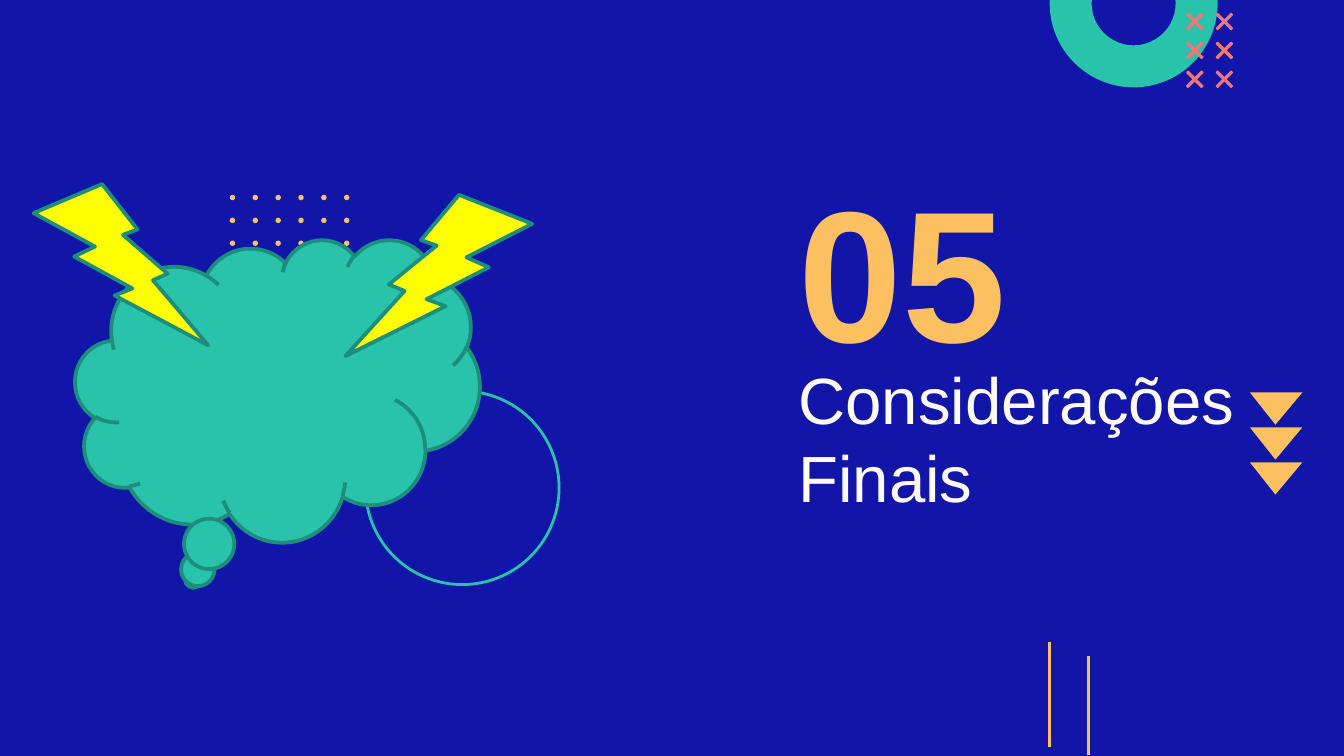
import itertools
from dataclasses import dataclass

import pptx
import pptx.dml.color
import pptx.enum.shapes
import pptx.enum.text
import pptx.oxml
import pptx.util

Inches = pptx.util.Inches
Pt = pptx.util.Pt
SHAPE = pptx.enum.shapes.MSO_SHAPE


@dataclass(frozen=True)
class Theme:
    blue: str = "1116A8"
    teal: str = "29C2AA"
    dark_teal: str = "1D8D7C"
    coral: str = "F57676"
    amber: str = "FDC061"
    yellow: str = "FFFF00"
    cream: str = "FFFAF2"
    font: str = "Arial"
    title_size: int = 35
    number_size: int = 100


THEME = Theme()


def rgb(color):
    return pptx.dml.color.RGBColor.from_string(color)


def paint(sp, fill=None, line=None, width=0):
    """Set fill and outline; None means no fill or no line."""
    sp.shadow.inherit = False
    if fill:
        sp.fill.solid()
        sp.fill.fore_color.rgb = rgb(fill)
    else:
        sp.fill.background()
    if line:
        sp.line.color.rgb = rgb(line)
        sp.line.width = Pt(width)
    else:
        sp.line.fill.background()


def add_preset(s, kind, box, adjustments=(), **style):
    sp = s.shapes.add_shape(kind, *(Inches(v) for v in box))
    for i, value in enumerate(adjustments):
        sp.adjustments[i] = value
    paint(sp, **style)
    return sp


def add_polygon(s, points, **style):
    points = [(Inches(x), Inches(y)) for x, y in points]
    fb = s.shapes.build_freeform(*points[0])
    fb.add_line_segments(points[1:], close=True)
    paint(fb.convert_to_shape(), **style)


def add_cross(s, x, y):
    """Thin diagonal cross centred on x, y."""
    tip, edge, waist = 0.06, 0.05, 0.01
    right = [(edge, tip), (tip, edge), (waist, 0),
             (tip, -edge), (edge, -tip), (0, -waist)]
    outline = right + [(-dx, -dy) for dx, dy in right]
    add_polygon(s, [(x + dx, y + dy) for dx, dy in outline],
                fill=THEME.coral, line=THEME.coral, width=0.75)


def add_rule(s, x, top, bottom):
    cn = s.shapes.add_connector(pptx.enum.shapes.MSO_CONNECTOR.STRAIGHT,
                                Inches(x), Inches(top), Inches(x), Inches(bottom))
    cn.line.color.rgb = rgb(THEME.amber)
    cn.line.width = Pt(1.5)
    cn._element.spPr.append(pptx.oxml.parse_xml(
        '<a:effectLst xmlns:a="http://schemas.openxmlformats.org/drawingml/2006/main"/>'))


def fill_placeholder(sp, box, text, size, color, bold=False):
    sp.left, sp.top, sp.width, sp.height = (Inches(v) for v in box)
    tf = sp.text_frame
    tf.word_wrap = True
    tf.auto_size = pptx.enum.text.MSO_AUTO_SIZE.NONE
    tf.vertical_anchor = pptx.enum.text.MSO_ANCHOR.MIDDLE
    tf.margin_left = tf.margin_right = Inches(0.1)
    tf.margin_top = tf.margin_bottom = Inches(0.1)
    p = tf.paragraphs[0]
    p.alignment = pptx.enum.text.PP_ALIGN.LEFT
    p.line_spacing = 1.0
    p.space_before = Pt(0)
    r = p.add_run()
    r.text = text
    r.font.name = THEME.font
    r.font.size = Pt(size)
    r.font.bold = bold
    r.font.color.rgb = rgb(color)


def add_decorations(s):
    # Ring and crosses, top right
    add_preset(s, SHAPE.DONUT, (7.81, -0.6, 1.25, 1.25), [0.25], fill=THEME.teal)
    for col, row in itertools.product(range(2), range(3)):
        add_cross(s, 8.89 + 0.22 * col, 0.16 + 0.215 * row)

    # Triangles beside the title
    for i in range(3):
        top = 2.92 + 0.26 * i
        add_polygon(s, [(9.3, top), (9.69, top), (9.49, top + 0.24)], fill=THEME.amber)

    # Vertical rules, bottom right
    add_rule(s, 8.1, 4.88, 5.62)
    add_rule(s, 7.81, 4.78, 5.56)


def add_storm(s):
    # Dot grid and circle behind the cloud
    for col, row in itertools.product(range(6), range(3)):
        add_preset(s, SHAPE.OVAL, (1.71 + 0.17 * col, 1.45 + 0.17 * row, 0.04, 0.04),
                   fill=THEME.amber)
    add_preset(s, SHAPE.OVAL, (2.72, 2.91, 1.44, 1.44), line=THEME.teal, width=1.5)

    # Cloud with a lightning bolt on each side
    outline = {"line": THEME.dark_teal, "width": 2}
    add_preset(s, SHAPE.CLOUD_CALLOUT, (0.56, 1.78, 3.01, 2.25), [-0.208, 0.625],
               fill=THEME.teal, **outline)
    add_preset(s, SHAPE.LIGHTNING_BOLT, (0.25, 1.37, 1.3, 1.2), fill=THEME.yellow, **outline)
    bolt = add_preset(s, SHAPE.LIGHTNING_BOLT, (2.57, 1.45, 1.39, 1.2),
                      fill=THEME.yellow, **outline)
    bolt._element.spPr.xfrm.set("flipH", "1")


def main():
    prs = pptx.Presentation()
    # Widescreen, 16:9
    prs.slide_width = Inches(10)
    prs.slide_height = prs.slide_width * 9 // 16
    s = prs.slides.add_slide(prs.slide_layouts[0])
    s.background.fill.solid()
    s.background.fill.fore_color.rgb = rgb(THEME.blue)

    # Section title and number
    fill_placeholder(s.shapes.title, (5.84, 2.96, 3.51, 0.59), "Considerações Finais",
                     THEME.title_size, THEME.cream)
    fill_placeholder(s.placeholders[1], (5.84, 1.34, 3.16, 1.31), "05",
                     THEME.number_size, THEME.amber, bold=True)

    add_decorations(s)
    add_storm(s)
    prs.save("out.pptx")


if __name__ == "__main__":
    main()
